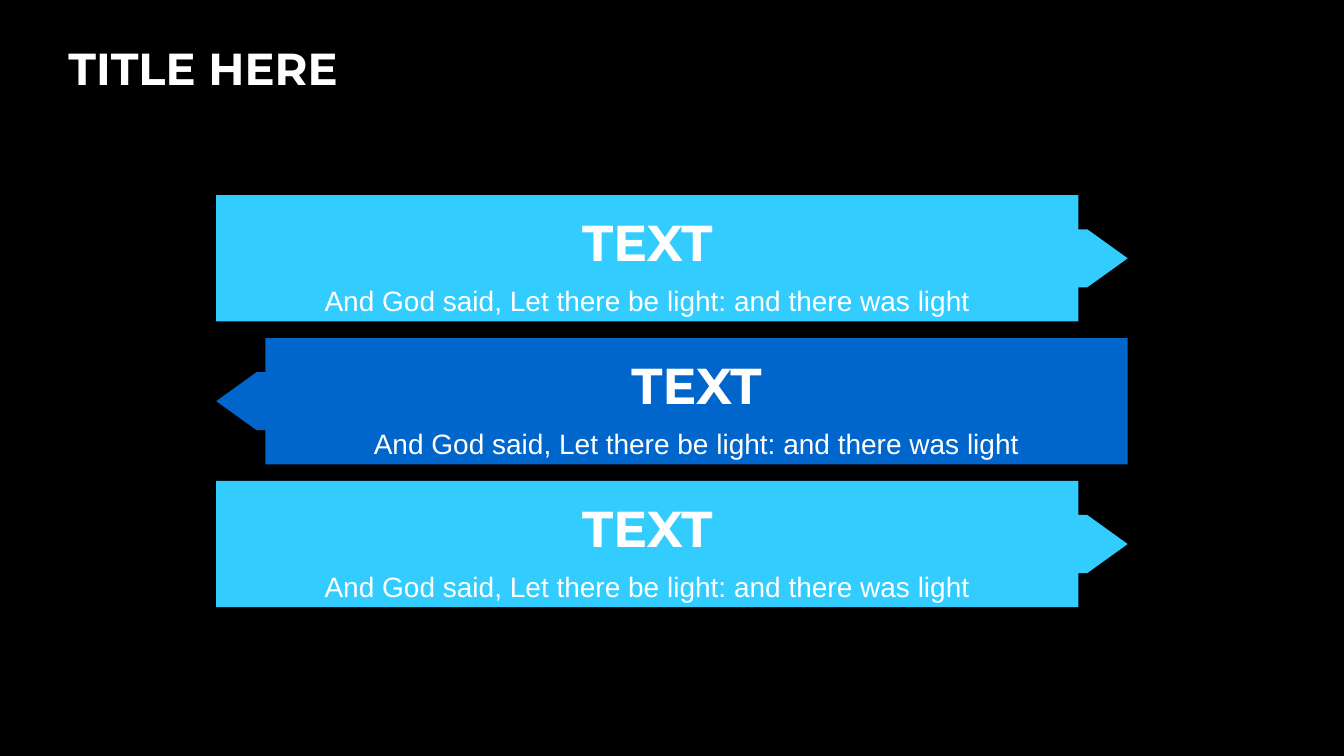
from dataclasses import dataclass

from pptx import Presentation
from pptx.dml.color import RGBColor
from pptx.enum.shapes import MSO_SHAPE
from pptx.enum.text import MSO_ANCHOR, MSO_AUTO_SIZE, PP_ALIGN
from pptx.slide import Slide
from pptx.text.text import TextFrame
from pptx.util import Cm, Pt

BLACK = RGBColor(0x00, 0x00, 0x00)
WHITE = RGBColor(0xFF, 0xFF, 0xFF)
SKY = RGBColor(0x33, 0xCC, 0xFF)
BLUE = RGBColor(0x00, 0x66, 0xCC)

RIGHT = MSO_SHAPE.RIGHT_ARROW_CALLOUT
LEFT = MSO_SHAPE.LEFT_ARROW_CALLOUT
MIDDLE = MSO_ANCHOR.MIDDLE
CENTER = PP_ALIGN.CENTER
START = PP_ALIGN.LEFT
NO_FIT = MSO_AUTO_SIZE.NONE

HEAD_FONT = "Montserrat"
BODY_FONT = "Arial"
VERSE = "And God said, Let there be light: and there was light"

# Callout grid, in centimetres
BAR_X, BAR_Y = 5.45, 4.92
BAR_W, BAR_H = 22.97, 3.18
STEP = 3.6
ARROW = (0.5, 0.23, 0.32, 0.946)


@dataclass
class Bar:
    kind: MSO_SHAPE
    fill: RGBColor
    head: str = "TEXT"
    body: str = VERSE


BARS = [Bar(RIGHT, SKY), Bar(LEFT, BLUE), Bar(RIGHT, SKY)]


def write(frame: TextFrame, text: str, *, size: float, font: str = HEAD_FONT,
          bold: bool = True, align: PP_ALIGN = CENTER, line: float = 1.0,
          before: float = 0, after: float = 0, first: bool = True) -> None:
    """Put one formatted paragraph into a text frame."""
    para = frame.paragraphs[0] if first else frame.add_paragraph()
    para.alignment = align
    para.line_spacing = line
    para.space_before = Pt(before)
    para.space_after = Pt(after)
    run = para.add_run()
    run.text = text
    run.font.name = font
    run.font.size = Pt(size)
    run.font.bold = bold
    run.font.color.rgb = WHITE


def set_title(slide: Slide, text: str) -> None:
    title = slide.shapes.title
    title.left, title.top = Cm(1.47), Cm(0.71)
    title.width, title.height = Cm(30.94), Cm(2.01)
    frame = title.text_frame
    frame.auto_size = NO_FIT
    frame.vertical_anchor = MIDDLE
    write(frame, text, size=32, align=START)


def draw_bar(slide: Slide, bar: Bar, row: int) -> None:
    shape = slide.shapes.add_shape(
        bar.kind, Cm(BAR_X), Cm(BAR_Y + row * STEP), Cm(BAR_W), Cm(BAR_H))
    for i, value in enumerate(ARROW):
        shape.adjustments[i] = value
    shape.shadow.inherit = False
    shape.fill.solid()
    shape.fill.fore_color.rgb = bar.fill
    shape.line.fill.background()
    frame = shape.text_frame
    frame.word_wrap = True
    frame.vertical_anchor = MIDDLE
    write(frame, bar.head, size=36, line=1.2, after=2)
    write(frame, bar.body, size=20, font=BODY_FONT, bold=False,
          line=1.2, before=2, after=2, first=False)


def main() -> None:
    deck = Presentation()
    deck.slide_width, deck.slide_height = Cm(33.87), Cm(19.05)
    slide = deck.slides.add_slide(deck.slide_layouts.get_by_name("Title Only"))

    # Background and title
    slide.background.fill.solid()
    slide.background.fill.fore_color.rgb = BLACK
    set_title(slide, "TITLE HERE")

    # Callouts pointing in turn right and left
    for row, bar in enumerate(BARS):
        draw_bar(slide, bar, row)

    deck.save("out.pptx")


if __name__ == "__main__":
    main()
